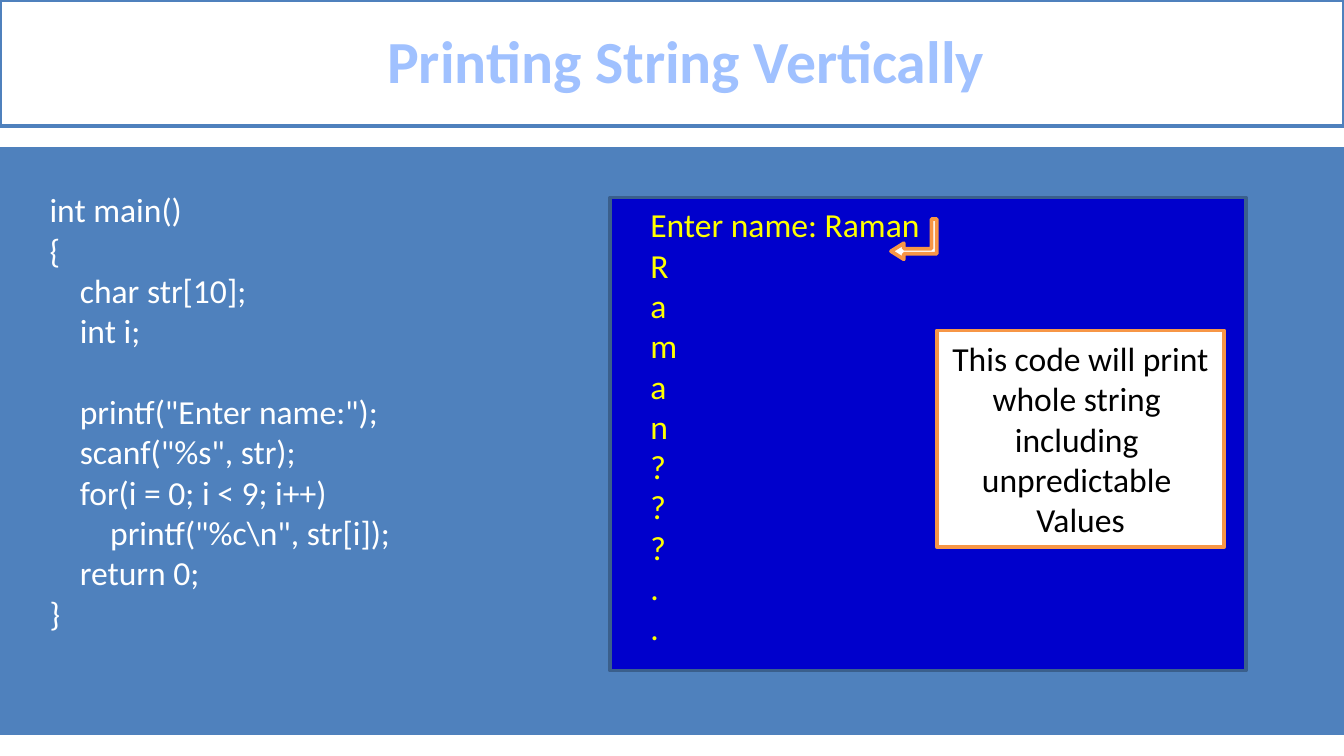
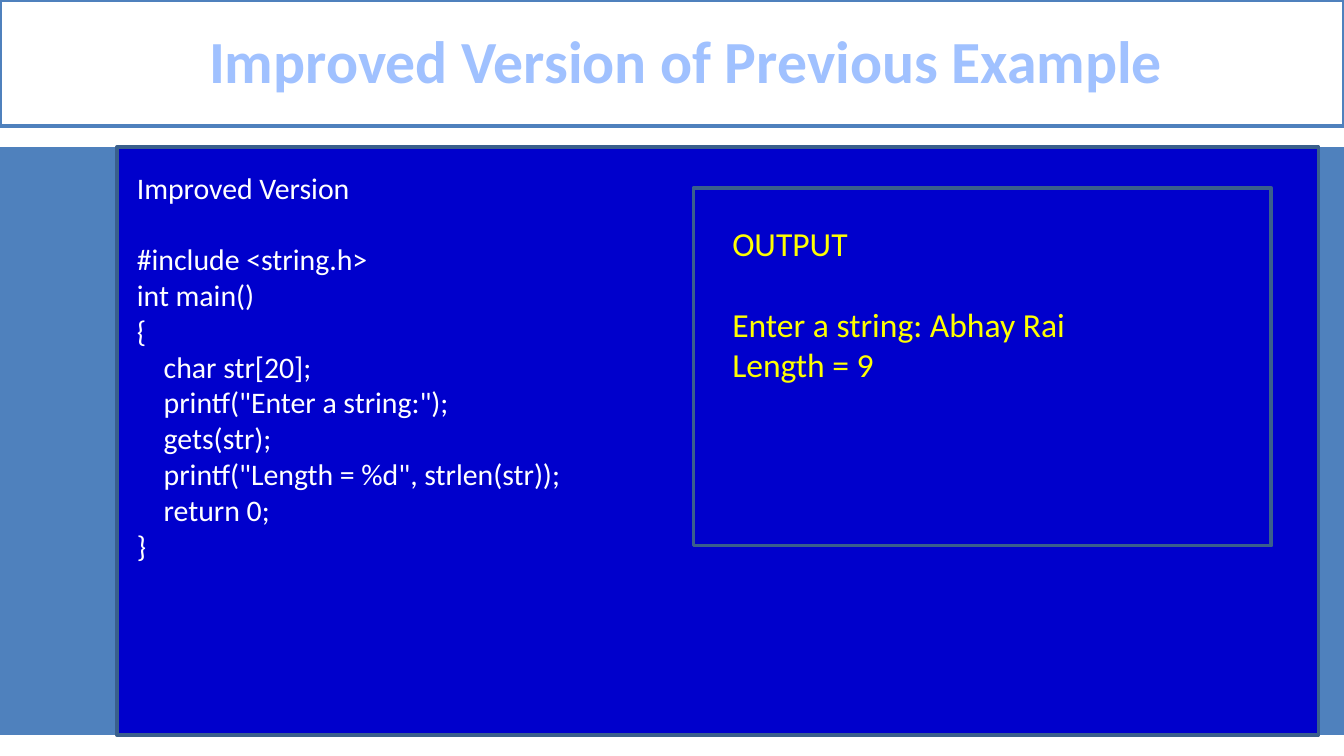
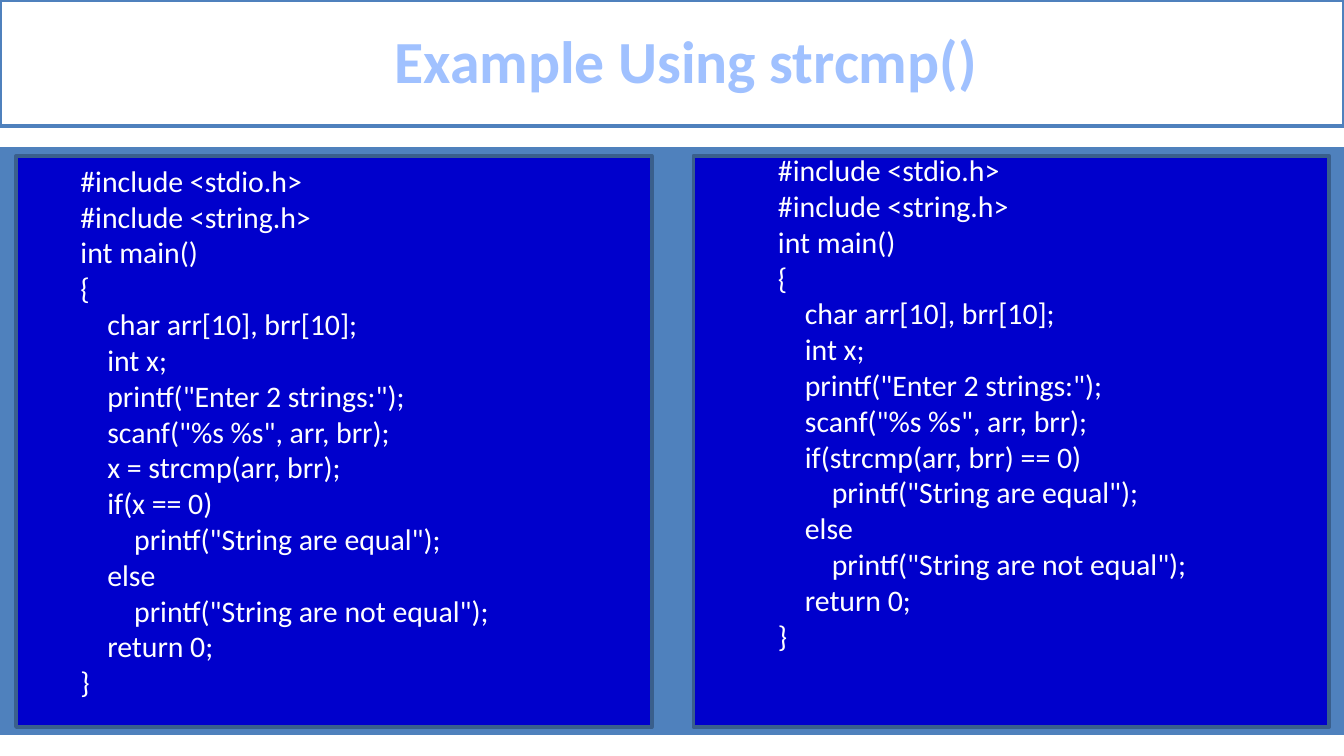
from pptx import Presentation
from pptx.dml.color import RGBColor
from pptx.enum.shapes import MSO_SHAPE
from pptx.enum.text import MSO_ANCHOR, MSO_AUTO_SIZE, PP_ALIGN
from pptx.util import Inches, Pt

WIDTH = 10
HEIGHT = WIDTH * 9 / 16
COLS = 100
CELL = WIDTH / COLS
FONT = "Calibri"
LINE_HEIGHT = 1.2

WHITE, BLACK, YELLOW = "FFFFFF", "000000", "FFFF00"
BLUE, NAVY, EDGE = "4F81BD", "0000CC", "3A5F8C"
ORANGE, SKY = "F79646", "A0C1FF"

VERTICAL_CODE = r'''int main()
{
    char str[10];
    int i;

    printf("Enter name:");
    scanf("%s", str);
    for(i = 0; i < 9; i++)
        printf("%c\n", str[i]);
    return 0;
}'''

LENGTH_CODE = '''Improved Version

#include <string.h>
int main()
{
    char str[20];
    printf("Enter a string:");
    gets(str);
    printf("Length = %d", strlen(str));
    return 0;
}'''

COMPARE_CODE = '''#include <stdio.h>
#include <string.h>
int main()
{
    char arr[10], brr[10];
    int x;
    printf("Enter 2 strings:");
    scanf("%s %s", arr, brr);
    TEST
        printf("String are equal");
    else
        printf("String are not equal");
    return 0;
}'''


def color(value):
    """Turn a hex string into a colour."""
    return RGBColor.from_string(value)


def cells(*counts):
    """Turn numbers of grid cells into lengths."""
    return [Inches(n * CELL) for n in counts]


def write(tf, text, size=18, ink=WHITE, bold=False, align=PP_ALIGN.LEFT,
          anchor=MSO_ANCHOR.TOP, indent=0, spacing=None):
    """Write one paragraph per line, turning an empty line into space before the next."""
    tf.word_wrap = True
    tf.vertical_anchor = anchor
    p, gap = tf.paragraphs[0], 0
    for i, line in enumerate(text.split("\n")):
        if not line:
            gap = size * LINE_HEIGHT
            continue
        if i:
            p = tf.add_paragraph()
        p.alignment = align
        p.line_spacing = spacing
        p.space_before = Pt(gap)
        p._p.get_or_add_pPr().set("marL", str(cells(indent)[0]))
        r = p.add_run()
        r.text = line
        r.font.name, r.font.size, r.font.bold = FONT, Pt(size), bold
        r.font.color.rgb = color(ink)
        gap = 0


class Deck:
    """Hold the shared style and the current slide."""

    def __init__(self):
        """Open an empty presentation of the right size."""
        self.prs = Presentation()
        self.prs.slide_width, self.prs.slide_height = Inches(WIDTH), Inches(HEIGHT)

    def slide(self, title):
        """Start a slide with its title bar and blue body band."""
        self.s = self.prs.slides.add_slide(self.prs.slide_layouts[5])
        sp = self.s.shapes.title
        sp.left, sp.top, sp.width, sp.height = cells(0, 0, COLS, 9.4)
        self.paint(sp, WHITE, BLUE)
        sp.text_frame.auto_size = MSO_AUTO_SIZE.NONE
        write(sp.text_frame, title, size=32, ink=SKY, bold=True, align=PP_ALIGN.CENTER,
              anchor=MSO_ANCHOR.MIDDLE, indent=2.1, spacing=0.96)
        self.box(0, 10.94, COLS, 43.75, BLUE)

    def paint(self, sp, fill, line=None):
        """Fill a shape and outline it, or leave it without an outline."""
        sp.fill.solid()
        sp.fill.fore_color.rgb = color(fill)
        if line:
            sp.line.color.rgb = color(line)
            sp.line.width = Pt(2)
        else:
            sp.line.fill.background()

    def box(self, x, y, w, h, fill=NAVY, line=None, kind=MSO_SHAPE.RECTANGLE):
        """Add a flat shape."""
        sp = self.s.shapes.add_shape(kind, *cells(x, y, w, h))
        sp.shadow.inherit = False
        self.paint(sp, fill, line)
        return sp

    def panel(self, x, y, w, h):
        """Add a dark screen panel."""
        return self.box(x, y, w, h, NAVY, EDGE)

    def text(self, text, x, y, w, h, **fmt):
        """Add a text box that grows with its text."""
        tf = self.s.shapes.add_textbox(*cells(x, y, w, h)).text_frame
        write(tf, text, **fmt)
        tf.auto_size = MSO_AUTO_SIZE.SHAPE_TO_FIT_TEXT

    def callout(self, text, x, y, w, h):
        """Add a white note with an orange border."""
        sp = self.box(x, y, w, h, WHITE, ORANGE)
        write(sp.text_frame, text, ink=BLACK, align=PP_ALIGN.CENTER,
              anchor=MSO_ANCHOR.MIDDLE)

    def enter_key(self, x, y, w, h):
        """Add a bent arrow that stands for the Enter key."""
        sp = self.box(x, y, w, h, WHITE, ORANGE, MSO_SHAPE.BENT_UP_ARROW)
        for i, value in enumerate((0.13, 0.2, 0.32)):
            sp.adjustments[i] = value
        sp.rotation = 90
        sp._element.spPr.xfrm.set("flipV", "1")


def main():
    """Build the three slides."""
    deck = Deck()

    deck.slide("Printing String Vertically")
    deck.text(VERTICAL_CODE, 2.7, 13.6, 27.8, 34.3)
    deck.panel(45.4, 14.7, 47.3, 35.2)
    deck.text("\n".join(["Enter name: Raman", *"Raman???.."]),
              47.4, 14.7, 22.3, 34.3, ink=YELLOW)
    deck.callout("This code will print whole string \nincluding \nunpredictable \nValues",
                 69.7, 24.6, 21.4, 16.1)
    deck.enter_key(66.5, 16.1, 3, 3.4)

    deck.slide("Improved Version of Previous Example")
    deck.panel(8.7, 10.94, 89.4, 43.75)
    deck.text(LENGTH_CODE, 0, 12.1, 47.6, 30.6, size=16, indent=9.2)
    deck.panel(51.6, 14, 43, 26.6)
    deck.text("OUTPUT\n\nEnter a string: Abhay Rai\nLength = 9",
              53.5, 16.1, 27.1, 13.1, ink=YELLOW)

    deck.slide("Example Using strcmp()")
    programs = [
        (1.2, 0, 11.6, 41.4, "x = strcmp(arr, brr);\n    if(x == 0)"),
        (51.6, 51.9, 10.8, 38.7, "if(strcmp(arr, brr) == 0)"),
    ]
    for panel_x, x, y, h, test in programs:
        deck.panel(panel_x, 11.6, 47.3, 42.5)
        deck.text(COMPARE_CODE.replace("TEST", test) + "\n}" * (not COMPARE_CODE.endswith("}")),
                  x, y, 46.9, h, size=16, indent=5)

    deck.prs.save("out.pptx")


if __name__ == "__main__":
    main()
